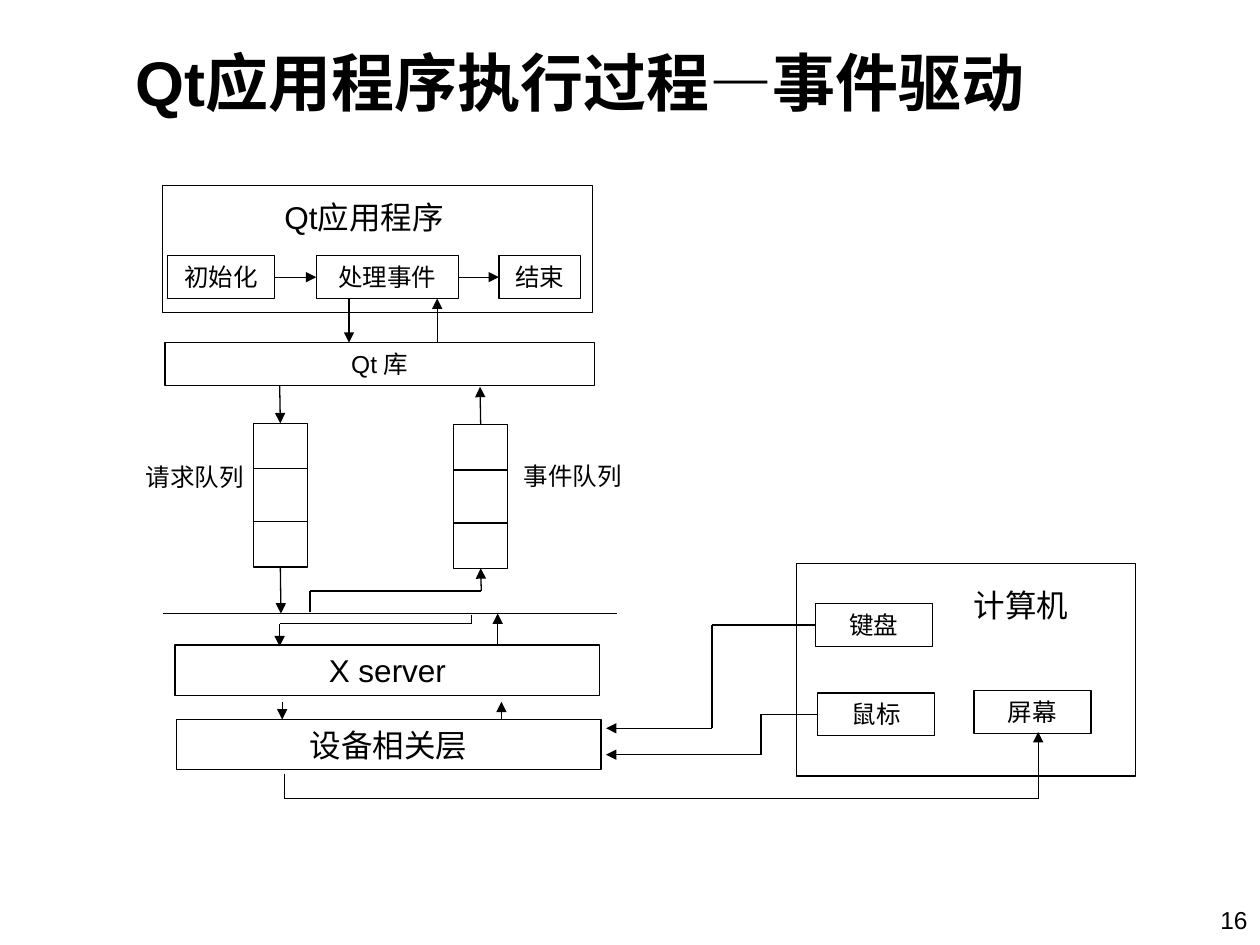
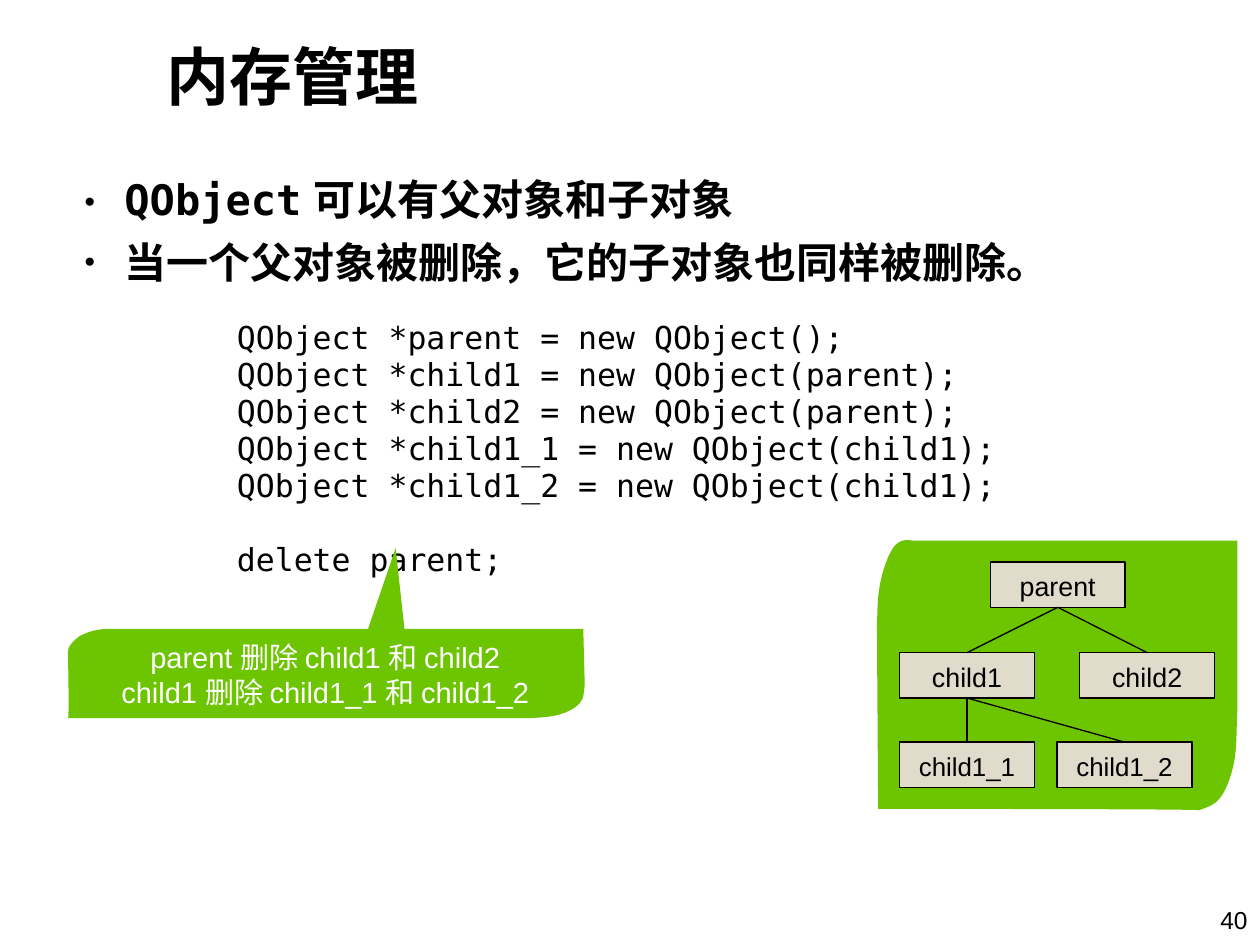
from lxml.etree import SubElement
from pptx import Presentation
from pptx.dml.color import RGBColor
from pptx.enum.shapes import MSO_CONNECTOR, MSO_SHAPE
from pptx.enum.text import MSO_ANCHOR, PP_ALIGN
from pptx.oxml.ns import qn
from pptx.util import Inches, Pt

BLACK, WHITE = "000000", "FFFFFF"
GREEN, BEIGE = "6DC400", "E0DBCA"
SANS, MONO = "Arial", "DejaVu Sans Mono"
TOP, LEFT, BOTTOM, RIGHT = range(4)
SIDE_MIDDLES = {TOP: (0.5, 0), LEFT: (0, 0.5), BOTTOM: (0.5, 1), RIGHT: (1, 0.5)}
LINE_WIDTH = Pt(0.75)
QUEUE_WIDTH, QUEUE_HEIGHT, QUEUE_DIVIDERS = 0.43, 1.14, (0.36, 0.78)


def color(hex_string):
    return RGBColor.from_string(hex_string)


def style_font(font, size, name=SANS, ink=BLACK, bold=False):
    font.size = Pt(size)
    font.name = name
    font.bold = bold
    font.color.rgb = color(ink)


def write(shape, lines, size, name=SANS, ink=BLACK, bold=False, align=PP_ALIGN.LEFT,
          anchor=MSO_ANCHOR.TOP, insets=(0.1, 0.05, 0.1, 0.05)):
    """Fill a shape with one paragraph per line and return the paragraphs."""
    frame = shape.text_frame
    frame.word_wrap = True
    frame.vertical_anchor = anchor
    (frame.margin_left, frame.margin_top,
     frame.margin_right, frame.margin_bottom) = map(Inches, insets)
    for index, line in enumerate(lines):
        paragraph = frame.paragraphs[0] if index == 0 else frame.add_paragraph()
        paragraph.text = line
        paragraph.alignment = align
        style_font(paragraph.font, size, name, ink, bold)
    return frame.paragraphs


def add_text(slide, place, lines, size, **style):
    box = slide.shapes.add_textbox(*map(Inches, place))
    return write(box, lines, size, **style)


def add_box(slide, place, text="", size=14, fill=None, **style):
    box = slide.shapes.add_shape(MSO_SHAPE.RECTANGLE, *map(Inches, place))
    box.shadow.inherit = False
    if fill:
        box.fill.solid()
        box.fill.fore_color.rgb = color(fill)
    else:
        box.fill.background()
    box.line.color.rgb = color(BLACK)
    box.line.width = LINE_WIDTH
    if text:
        write(box, [text], size, align=PP_ALIGN.CENTER, **style)
    return box


def locate(end):
    """Return the position of an (x, y) in inches or of a (shape, side)."""
    if isinstance(end[0], (int, float)):
        return Inches(end[0]), Inches(end[1])
    shape, side = end
    across, down = SIDE_MIDDLES[side]
    return (shape.left + int(shape.width * across),
            shape.top + int(shape.height * down))


def add_line(slide, start, end, arrow=False):
    connector = slide.shapes.add_connector(
        MSO_CONNECTOR.STRAIGHT, *locate(start), *locate(end))
    for point, join in ((start, connector.begin_connect), (end, connector.end_connect)):
        if not isinstance(point[0], (int, float)):
            join(*point)
    connector.line.color.rgb = color(BLACK)
    connector.line.width = LINE_WIDTH
    properties = connector.element.spPr
    if arrow:
        SubElement(properties.find(qn("a:ln")), qn("a:tailEnd"), type="triangle")
    SubElement(properties, qn("a:effectLst"))


def add_arrow(slide, *points):
    """Draw straight segments through the points, with a head on the last."""
    last = len(points) - 2
    for index, (start, end) in enumerate(zip(points, points[1:])):
        add_line(slide, start, end, arrow=index == last)


def add_outline(slide, points):
    start, *others = [(Inches(x), Inches(y)) for x, y in points]
    builder = slide.shapes.build_freeform(*start)
    builder.add_line_segments(others, close=True)
    shape = builder.convert_to_shape()
    shape.shadow.inherit = False
    shape.fill.solid()
    shape.fill.fore_color.rgb = color(GREEN)
    shape.line.fill.background()
    return shape


def add_curved_outline(slide, start, segments):
    """Draw cubic curves, each given as two control points and an end."""
    shape = add_outline(slide, [start, *(point for segment in segments for point in segment)])
    outline = next(shape.element.iter(qn("a:path")))
    corners = outline.findall(qn("a:lnTo"))
    closing = outline.find(qn("a:close"))
    for first in range(0, len(corners), 3):
        curve = SubElement(outline, qn("a:cubicBezTo"))
        for corner in corners[first:first + 3]:
            curve.append(corner[0])
            outline.remove(corner)
    outline.append(closing)
    return shape


def add_slide(presentation, title, title_place, number):
    slide = presentation.slides.add_slide(presentation.slide_layouts[6])
    add_text(slide, title_place, [title], 36, bold=True, anchor=MSO_ANCHOR.MIDDLE)
    add_text(slide, (8.39, 7.13, 1.61, 0.37), [str(number)], 14, align=PP_ALIGN.RIGHT)
    return slide


def add_queue(slide, left, top):
    queue = add_box(slide, (left, top, QUEUE_WIDTH, QUEUE_HEIGHT))
    for offset in QUEUE_DIVIDERS:
        add_line(slide, (left, top + offset), (left + QUEUE_WIDTH, top + offset))
    return queue


def add_bullets(slide, place, lines):
    frame = slide.shapes.add_textbox(*map(Inches, place)).text_frame
    frame.word_wrap = True
    frame.margin_top = Inches(0.01)
    for index, runs in enumerate(lines):
        paragraph = frame.add_paragraph() if index else frame.paragraphs[0]
        properties = paragraph._p.get_or_add_pPr()
        properties.set("marL", str(Inches(0.43)))
        properties.set("indent", str(Inches(-0.32)))
        bullet_color = SubElement(properties, qn("a:buClr"))
        SubElement(bullet_color, qn("a:srgbClr"), val=BLACK)
        SubElement(properties, qn("a:buSzPct"), val="45000")
        SubElement(properties, qn("a:buFont"), typeface=SANS)
        SubElement(properties, qn("a:buChar"), char="●")
        if index:
            paragraph.space_before = Pt(6)
        else:
            paragraph.line_spacing = 0.98
        for text, name in runs:
            run = paragraph.add_run()
            run.text = text
            style_font(run.font, 24, name, bold=True)


def build_event_slide(presentation):
    slide = add_slide(presentation, "Qt应用程序执行过程—事件驱动",
                      (0.98, 0.21, 7.68, 0.87), 16)

    add_box(slide, (1.29, 1.47, 3.41, 1.01))
    add_text(slide, (2.16, 1.52, 1.67, 0.4), ["Qt应用程序"], 18)
    start, handle, finish = [
        add_box(slide, (left, 2.03, width, 0.34), text)
        for left, width, text in ((1.33, 0.85, "初始化"), (2.51, 1.13, "处理事件"),
                                  (3.96, 0.65, "结束"))]
    add_arrow(slide, (start, RIGHT), (handle, LEFT))
    add_arrow(slide, (handle, RIGHT), (finish, LEFT))

    add_box(slide, (1.31, 2.72, 3.41, 0.34), "Qt 库")
    add_arrow(slide, (2.77, 2.37), (2.77, 2.72))
    add_arrow(slide, (3.47, 2.72), (3.47, 2.37))

    requests = add_queue(slide, 2.01, 3.36)
    events = add_queue(slide, 3.6, 3.37)
    add_text(slide, (1.06, 3.62, 1, 0.34), ["请求队列"], 14)
    add_text(slide, (4.06, 3.61, 1, 0.34), ["事件队列"], 14)
    add_arrow(slide, (2.22, 3.06), (requests, TOP))
    add_arrow(slide, (events, TOP), (3.81, 3.07))

    add_line(slide, (1.29, 4.87), (4.9, 4.87))
    add_arrow(slide, (requests, BOTTOM), (2.23, 4.87))
    add_arrow(slide, (2.46, 4.86), (2.46, 4.69), (3.82, 4.69), (events, BOTTOM))

    add_box(slide, (1.39, 5.12, 3.37, 0.4), "X server", 18)
    add_arrow(slide, (3.74, 4.88), (3.74, 4.95), (2.22, 4.95), (2.22, 5.13))
    add_arrow(slide, (3.95, 5.13), (3.95, 4.87))
    add_box(slide, (1.4, 5.71, 3.37, 0.4), "设备相关层", 18)
    add_arrow(slide, (3.98, 5.71), (3.98, 5.57))
    add_arrow(slide, (2.24, 5.57), (2.24, 5.71))

    add_box(slide, (6.32, 4.47, 2.69, 1.69))
    add_text(slide, (7.63, 4.6, 1.3, 0.4), ["计算机"], 18)
    keyboard, mouse, _ = [
        add_box(slide, (left, top, 0.93, 0.34), text)
        for left, top, text in ((6.47, 4.79, "键盘"), (6.49, 5.5, "鼠标"),
                                (7.73, 5.48, "屏幕"))]
    add_arrow(slide, (keyboard, LEFT), (5.65, 4.96), (5.65, 5.78), (4.81, 5.78))
    add_arrow(slide, (mouse, LEFT), (6.04, 5.67), (6.04, 5.99), (4.81, 5.99))
    add_arrow(slide, (2.26, 6.14), (2.26, 6.34), (8.24, 6.34), (8.24, 5.81))


def add_object_tree(slide):
    add_curved_outline(slide, (7.24, 4.29), [
        ((7.24, 4.29), (8.8, 4.29), (9.82, 4.29)),
        ((9.82, 4.54), (9.82, 5.4), (9.82, 5.65)),
        ((9.81, 5.88), (9.82, 5.98), (9.77, 6.15)),
        ((9.69, 6.4), (9.61, 6.39), (9.52, 6.43)),
        ((9.42, 6.42), (6.97, 6.42), (6.97, 6.42)),
        ((6.97, 6.38), (6.96, 4.97), (6.96, 4.92)),
        ((6.97, 4.87), (6.95, 4.69), (7.03, 4.47)),
        ((7.1, 4.28), (7.16, 4.28), (7.24, 4.29))])
    nodes = {
        name: add_box(slide, (left, top, 1.07, 0.36), name, size, fill=BEIGE,
                      anchor=MSO_ANCHOR.MIDDLE, insets=(0.09, 0.06, 0.09, 0.04))
        for name, left, top, size in (
            ("parent", 7.86, 4.46, 15.3),
            ("child1", 7.14, 5.18, 15.3), ("child2", 8.57, 5.18, 15.3),
            ("child1_1", 7.14, 5.89, 14.8), ("child1_2", 8.39, 5.89, 14.8))}
    for child, owner in (("child1", "parent"), ("child2", "parent"),
                         ("child1_1", "child1"), ("child1_2", "child1")):
        add_line(slide, (nodes[child], TOP), (nodes[owner], BOTTOM))


def add_delete_callout(slide):
    add_outline(slide, [(2.86, 5.17), (3.14, 4.35), (3.21, 4.99)])
    callout = add_curved_outline(slide, (0.93, 4.99), [
        ((0.93, 4.99), (3.17, 4.99), (4.63, 4.99)),
        ((4.63, 5.07), (4.64, 5.36), (4.64, 5.44)),
        ((4.63, 5.52), (4.64, 5.55), (4.57, 5.61)),
        ((4.45, 5.69), (4.35, 5.69), (4.21, 5.7)),
        ((4.07, 5.7), (0.54, 5.7), (0.54, 5.7)),
        ((0.55, 5.69), (0.54, 5.22), (0.54, 5.2)),
        ((0.54, 5.18), (0.52, 5.13), (0.63, 5.05)),
        ((0.74, 4.99), (0.82, 4.99), (0.93, 4.99))])
    write(callout, ["parent 删除 child1 和 child2", "child1 删除 child1_1 和 child1_2"],
          16.6, ink=WHITE, align=PP_ALIGN.CENTER, anchor=MSO_ANCHOR.MIDDLE,
          insets=(0.11, 0.08, 0.11, 0.06))


def build_memory_slide(presentation):
    slide = add_slide(presentation, "内存管理", (1.22, -0.03, 6.5, 1.25), 40)
    add_bullets(slide, (0.46, 1.39, 9, 4.86), [
        [("QObject", MONO), (" 可以有父对象和子对象", SANS)],
        [("当一个父对象被删除，它的子对象也同样被删除。", SANS)]])
    code = add_text(slide, (1.79, 2.49, 6.3, 1.93), [
        "QObject *parent = new QObject();",
        "QObject *child1 = new QObject(parent);",
        "QObject *child2 = new QObject(parent);",
        "QObject *child1_1 = new QObject(child1);",
        "QObject *child1_2 = new QObject(child1);",
        "delete parent;"], 18, name=MONO, insets=(0.09, 0.05, 0.09, 0.04))
    for paragraph in code:
        paragraph.line_spacing = 0.98
    code[-1].space_before = Pt(21)
    add_object_tree(slide)
    add_delete_callout(slide)


def main():
    presentation = Presentation()
    presentation.slide_width = Inches(10)
    presentation.slide_height = Inches(7.5)
    build_event_slide(presentation)
    build_memory_slide(presentation)
    presentation.save("out.pptx")


if __name__ == "__main__":
    main()
